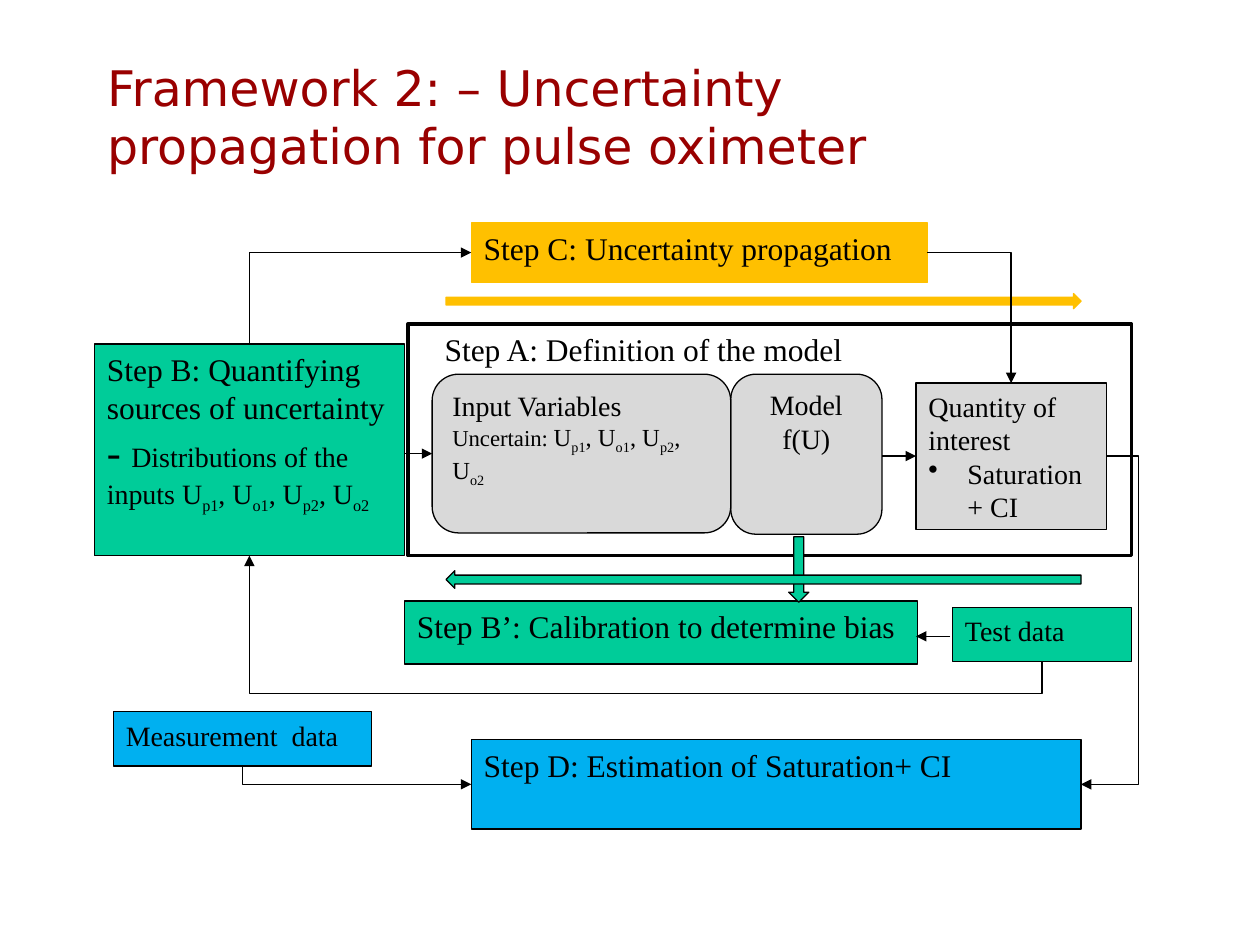
from dataclasses import dataclass
from typing import Optional

from lxml import etree
from pptx import Presentation
from pptx.dml.color import RGBColor
from pptx.enum.shapes import MSO_CONNECTOR, MSO_SHAPE
from pptx.enum.text import MSO_ANCHOR, PP_ALIGN
from pptx.oxml.ns import qn
from pptx.util import Emu, Inches, Pt

RECT = MSO_SHAPE.RECTANGLE
PROCESS = MSO_SHAPE.FLOWCHART_PROCESS
ROUNDED = MSO_SHAPE.FLOWCHART_ALTERNATE_PROCESS
DOWN, LEFT_ARROW, RIGHT_ARROW = MSO_SHAPE.DOWN_ARROW, MSO_SHAPE.LEFT_ARROW, MSO_SHAPE.RIGHT_ARROW
STRAIGHT, ELBOW = MSO_CONNECTOR.STRAIGHT, MSO_CONNECTOR.ELBOW
LEFT, CENTER = PP_ALIGN.LEFT, PP_ALIGN.CENTER
TOP, MIDDLE = MSO_ANCHOR.TOP, MSO_ANCHOR.MIDDLE
SITE_TOP, SITE_LEFT, SITE_BOTTOM, SITE_RIGHT = range(4)


@dataclass(frozen=True)
class Theme:
    title_font: str = "DejaVu Sans"
    body_font: str = "Times New Roman"
    title_color: str = "990000"
    black: str = "000000"
    white: str = "FFFFFF"
    gray: str = "D9D9D9"
    green: str = "00CC99"
    amber: str = "FFC000"
    blue: str = "00B0F0"
    title: float = 28
    dash: float = 24
    step: float = 18
    body: float = 16
    symbols: float = 14
    note: float = 13
    thin: float = 0.75
    frame: float = 2


T = Theme()


@dataclass(frozen=True)
class Run:
    text: str
    size: float = T.body
    sub: bool = False


@dataclass(frozen=True)
class Para:
    runs: list[Run]
    align: int = LEFT
    bullet: bool = False


@dataclass(frozen=True)
class Box:
    key: str
    kind: int
    at: tuple[float, float, float, float]
    fill: str
    paras: tuple[Para, ...] = ()
    line: str = T.black
    weight: float = T.thin


@dataclass(frozen=True)
class Bend:
    start: str
    start_site: int
    end: str
    end_site: int
    rot: int = 0
    flip: str = ""
    adj: Optional[float] = None  # middle segment; None means a single corner


def line_of(text: str, size: float = T.body, align: int = LEFT, bullet: bool = False) -> Para:
    return Para([Run(text, size)], align, bullet)


def inputs(size: float) -> list[Run]:
    """The uncertain inputs, each a U with a subscript."""
    runs = [Run("U", size)]
    for i, index in enumerate(("p1", "o1", "p2", "o2")):
        if i:
            runs.append(Run(", U", size))
        runs.append(Run(index, size, sub=True))
    return runs


def write(tf, paras: tuple[Para, ...]) -> None:
    tf.word_wrap = True
    for i, para in enumerate(paras):
        p = tf.paragraphs[0] if i == 0 else tf.add_paragraph()
        p.alignment = para.align
        if para.bullet:
            pPr = p._p.get_or_add_pPr()
            pPr.set("marL", str(Inches(0.31)))
            pPr.set("indent", str(Inches(-0.31)))
            etree.SubElement(pPr, qn("a:buChar")).set("char", "•")
        for run in para.runs:
            r = p.add_run()
            r.text = run.text
            r.font.name = T.body_font
            r.font.size = Pt(run.size)
            r.font.color.rgb = RGBColor.from_string(T.black)
            if run.sub:
                r.font._element.set("baseline", "-25000")


def add_box(s, box: Box):
    sp = s.shapes.add_shape(box.kind, *map(Inches, box.at))
    sp.shadow.inherit = False
    sp.fill.solid()
    sp.fill.fore_color.rgb = RGBColor.from_string(box.fill)
    sp.line.color.rgb = RGBColor.from_string(box.line)
    sp.line.width = Pt(box.weight)
    if box.paras:
        sp.text_frame.vertical_anchor = TOP
        write(sp.text_frame, box.paras)
    return sp


def style_arrow(c) -> None:
    c.line.color.rgb = RGBColor.from_string(T.black)
    c.line.width = Pt(T.thin)
    etree.SubElement(c.line._get_or_add_ln(), qn("a:tailEnd")).set("type", "triangle")
    etree.SubElement(c._element.spPr, qn("a:effectLst"))


def add_arrow(s, x1: float, y1: float, x2: float, y2: float):
    c = s.shapes.add_connector(STRAIGHT, *map(Inches, (x1, y1, x2, y2)))
    style_arrow(c)
    return c


def add_bend(s, shapes: dict, bend: Bend) -> None:
    start, end = shapes[bend.start], shapes[bend.end]
    c = s.shapes.add_connector(ELBOW, start.left, start.top, end.left, end.top)
    c.begin_connect(start, bend.start_site)
    c.end_connect(end, bend.end_site)
    # A quarter turn swaps the sides of the frame about its centre
    w, h = abs(c.end_x - c.begin_x), abs(c.end_y - c.begin_y)
    mid_x, mid_y = (c.begin_x + c.end_x) // 2, (c.begin_y + c.end_y) // 2
    if bend.rot % 180:
        w, h = h, w
    c.left, c.top, c.width, c.height = map(Emu, (mid_x - w // 2, mid_y - h // 2, w, h))
    xfrm = c._element.spPr.find(qn("a:xfrm"))
    xfrm.set("rot", str(bend.rot * 60000))
    xfrm.set("flipH", str(int("h" in bend.flip)))
    xfrm.set("flipV", str(int("v" in bend.flip)))
    geom = c._element.spPr.find(qn("a:prstGeom"))
    if bend.adj is None:
        geom.set("prst", "bentConnector2")
    else:
        guide = etree.SubElement(geom.find(qn("a:avLst")), qn("a:gd"))
        guide.set("name", "adj1")
        guide.set("fmla", f"val {round(bend.adj * 100000)}")
    style_arrow(c)


BOXES = [
    Box("Model frame", RECT, (3.24, 2.57, 5.74, 1.84), T.white, weight=T.frame),
    Box("Model", ROUNDED, (5.8, 2.97, 1.2, 1.27), T.gray,
        (line_of("Model", align=CENTER), line_of("f(U)", align=CENTER))),
    Box("Step B", PROCESS, (0.75, 2.73, 2.46, 1.68), T.green,
        (line_of("Step B: Quantifying sources of uncertainty", T.step),
         Para([Run("- ", T.dash), Run("Distributions of the inputs "), *inputs(T.body)]))),
    Box("Quantity", PROCESS, (7.27, 3.04, 1.51, 1.16), T.gray,
        (line_of("Quantity of interest"), line_of("Saturation+ CI", bullet=True))),
    Box("Step C", PROCESS, (3.74, 1.77, 3.62, 0.47), T.amber,
        (line_of("Step C: Uncertainty propagation", T.step),), T.amber),
    Box("Calibration", PROCESS, (3.21, 4.77, 4.07, 0.5), T.green,
        (line_of("Step B’: Calibration to determine bias", T.step),)),
    Box("Test data", PROCESS, (7.56, 4.82, 1.42, 0.43), T.green, (line_of("Test data"),)),
    Box("Inputs", ROUNDED, (3.43, 2.97, 2.37, 1.26), T.gray,
        (line_of("Input Variables"), Para([Run("Uncertain: ", T.note), *inputs(T.symbols)]))),
    Box("Calibration arrow", DOWN, (6.26, 4.26, 0.16, 0.52), T.green),
    Box("Forward arrow", RIGHT_ARROW, (3.54, 2.33, 5.04, 0.12), T.amber, line=T.amber),
    Box("Backward arrow", LEFT_ARROW, (3.54, 4.53, 5.04, 0.14), T.green),
    Box("Measurement", PROCESS, (0.9, 5.65, 2.05, 0.43), T.blue, (line_of("Measurement  data"),)),
    Box("Step D", PROCESS, (3.74, 5.87, 4.84, 0.71), T.blue,
        (line_of("Step D: Estimation of Saturation+ CI", T.step),)),
]

BENDS = [
    Bend("Step C", SITE_RIGHT, "Quantity", SITE_TOP),
    Bend("Measurement", SITE_BOTTOM, "Step D", SITE_LEFT, 270, "h"),
    Bend("Quantity", SITE_RIGHT, "Step D", SITE_RIGHT, 0, "h", -1.27),
    Bend("Step B", SITE_TOP, "Step C", SITE_LEFT, 90, "hv"),
    Bend("Test data", SITE_BOTTOM, "Step B", SITE_BOTTOM, 90, "h", -0.3),
]


def main() -> None:
    prs = Presentation()
    prs.slide_width, prs.slide_height = Inches(10), Inches(7.5)
    s = prs.slides.add_slide(prs.slide_layouts[5])

    # Title
    title = s.shapes.title
    title.left, title.top, title.width, title.height = map(Inches, (0.75, 0.42, 7.17, 1))
    title.text_frame.vertical_anchor = MIDDLE
    p = title.text_frame.paragraphs[0]
    p.alignment = LEFT
    r = p.add_run()
    r.text = "Framework 2: – Uncertainty propagation for pulse oximeter"
    r.font.name, r.font.size = T.title_font, Pt(T.title)
    r.font.color.rgb = RGBColor.from_string(T.title_color)

    # Boxes and block arrows, then the heading of the model frame
    shapes = {box.key: add_box(s, box) for box in BOXES}
    tb = s.shapes.add_textbox(*map(Inches, (3.43, 2.57, 3.93, 0.4)))
    write(tb.text_frame, (line_of("Step A: Definition of the model", T.step),))

    # Straight arrows, level with the side they are joined to
    add_arrow(s, 7.54, 5.05, 7.27, 5.05)
    add_arrow(s, 7, 3.62, 7.27, 3.62).end_connect(shapes["Quantity"], SITE_LEFT)
    add_arrow(s, 3.21, 3.6, 3.43, 3.6).end_connect(shapes["Inputs"], SITE_LEFT)

    # Bent arrows between the steps
    for bend in BENDS:
        add_bend(s, shapes, bend)

    prs.save("out.pptx")


if __name__ == "__main__":
    main()
